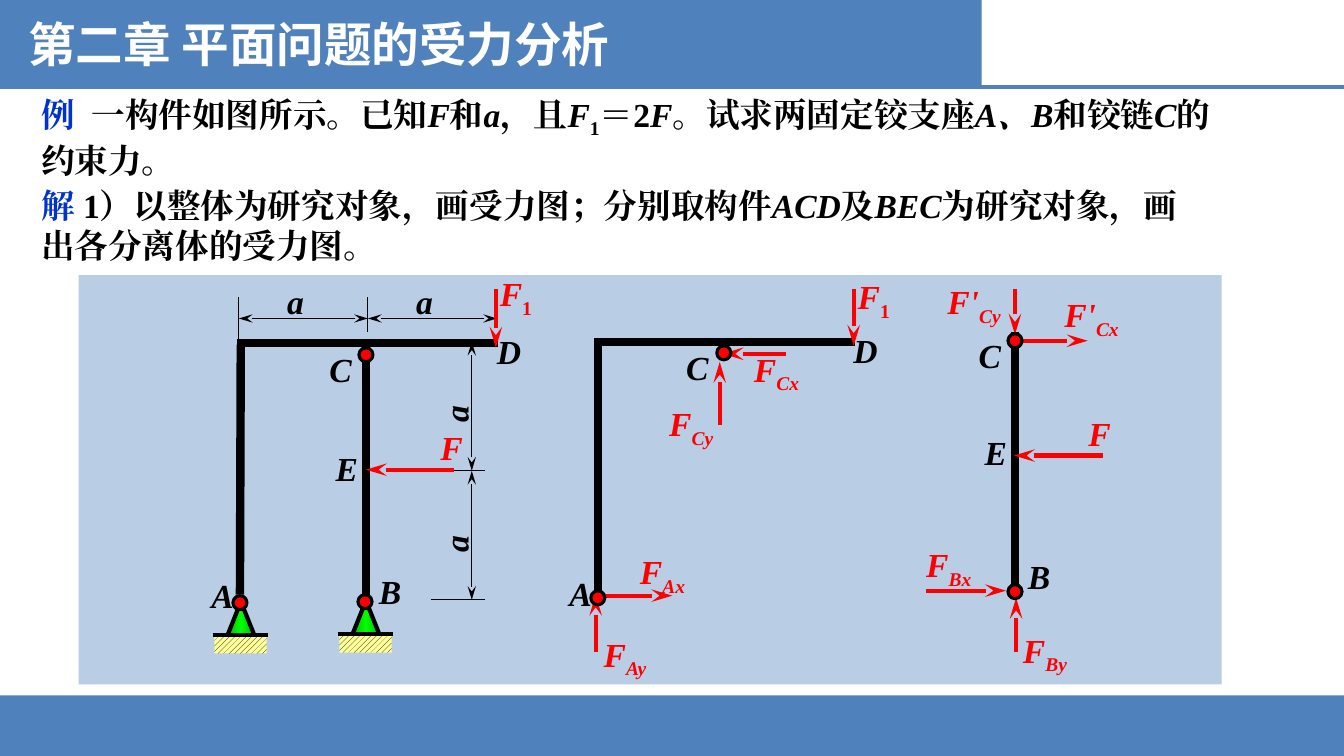
from copy import deepcopy

from lxml import etree
from pptx import Presentation
from pptx.dml.color import RGBColor
from pptx.enum.dml import MSO_PATTERN
from pptx.enum.shapes import MSO_CONNECTOR, MSO_SHAPE
from pptx.enum.text import MSO_ANCHOR, PP_ALIGN
from pptx.oxml.ns import qn
from pptx.util import Pt

RECT, OVAL, TRIANGLE = MSO_SHAPE.RECTANGLE, MSO_SHAPE.OVAL, MSO_SHAPE.ISOSCELES_TRIANGLE
STRAIGHT = MSO_CONNECTOR.STRAIGHT
HATCH = MSO_PATTERN.WIDE_UPWARD_DIAGONAL
TOP, MIDDLE = MSO_ANCHOR.TOP, MSO_ANCHOR.MIDDLE
LEFT, JUSTIFY = PP_ALIGN.LEFT, PP_ALIGN.JUSTIFY

RED, BLACK, WHITE, BLUE = "FF0000", "000000", "FFFFFF", "4F81BD"
KEYWORD, PANEL, SAND = "0033CC", "B9CDE5", "FFFF99"
GREENS = [(0, "00B600"), (0.5, "00FF00"), (1, "00B600")]
TIMES, HEITI = "Times New Roman", "Noto Sans CJK SC"

TITLE = "第二章 平面问题的受力分析"
PROBLEM = [("例\t", "key"), ("一构件如图所示。已知", ""), ("F", "i"), ("和", ""), ("a", "i"),
           ("，且", ""), ("F", "i"), ("1", "sub"), ("＝2", ""), ("F", "i"),
           ("。试求两固定铰支座", ""), ("A、B", "i"), ("和铰链", ""), ("C", "i"), ("的约束力。", "")]
SOLUTION = [("解", "key"), (" 1）以整体为研究对象，画受力图；分别取构件", ""), ("ACD", "i"),
            ("及", ""), ("BEC", "i"), ("为研究对象，画出各分离体的受力图。", "")]

MEMBERS = [
    (355.7, 244.8, 169.2, 244.8), (261.4, 247, 261.4, 432), (172, 246.2, 171.4, 424.8),
    (610.6, 244.1, 424.1, 244.1), (427, 245.5, 427, 424.1),
    (725, 236.9, 725, 421.9),
]
FORCES = [
    (354.2, 206.6, 354.2, 248.4), (324, 335.5, 261.4, 335.5),
    (609.8, 206.6, 609.8, 247), (561.6, 252.7, 516.2, 252.7), (514.1, 303.8, 514.1, 258.5),
    (427, 425.5, 480.2, 425.5), (425.5, 465.8, 425.5, 424.8),
    (725, 206.6, 725, 239), (730.8, 243.4, 776.9, 243.4), (787.7, 325.4, 724.3, 325.4),
    (661.7, 421.9, 718.6, 421.9), (725.8, 465.8, 725.8, 427),
]
HINGES = [(261.4, 253.4), (517, 252), (427, 427), (725, 243.4), (725, 422.6)]
SUPPORTS = [(172.1, 429.8), (261.4, 429.1)]

JOINT_LABELS = [
    ("A", 144, 406.8), ("B", 263.5, 403.9), ("C", 228.2, 245.5), ("D", 347.8, 232.6), ("E", 232.6, 316.1),
    ("A", 399.6, 405.4), ("C", 483.1, 244.1), ("D", 602.6, 231.8),
    ("B", 727.2, 393.8), ("C", 691.9, 235.4), ("E", 696.2, 305.3),
]
FORCE_LABELS = [
    ("F", "1", 349.9, 191.5), ("F", "", 307.4, 301.7),
    ("F", "1", 605.5, 193.7), ("F", "Cx", 531.4, 245.5), ("F", "Cy", 470.9, 284.4),
    ("F", "Ax", 450, 390.2), ("F", "Ay", 424.1, 449.3),
    ("F'", "Cx", 753.1, 206.6), ("F'", "Cy", 669.6, 197.3), ("F", "", 770.4, 291.6),
    ("F", "Bx", 654.5, 385.2), ("F", "By", 723.6, 446.4),
]
SPAN = 92.2
DIM_LEFT, DIM_Y = 170.6, 227.5
DIM_X, DIM_TOP = 337, 244.1

deck = Presentation()
deck.slide_width, deck.slide_height = Pt(960), Pt(540)
slide = deck.slides.add_slide(deck.slide_layouts[6])


def rgb(value):
    return RGBColor.from_string(value)


def add_text(runs, left, top, width, height, *, size=24, font=TIMES, color=BLACK,
             align=LEFT, anchor=TOP, wrap=True, rotation=0, tab=None):
    box = slide.shapes.add_textbox(Pt(left), Pt(top), Pt(width), Pt(height))
    box.rotation = rotation
    frame = box.text_frame
    frame.word_wrap, frame.vertical_anchor = wrap, anchor
    paragraph = frame.paragraphs[0]
    paragraph.alignment = align
    if tab:
        stops = etree.SubElement(paragraph._p.get_or_add_pPr(), qn("a:tabLst"))
        etree.SubElement(stops, qn("a:tab"), pos=str(Pt(tab)), algn="l")
    for words, style in runs:
        run = paragraph.add_run()
        run.text = words
        run.font.size, run.font.name, run.font.bold = Pt(size), font, True
        run.font.italic = style in ("i", "isub")
        run.font.color.rgb = rgb(KEYWORD if style == "key" else color)
        properties = run._r.get_or_add_rPr()
        etree.SubElement(properties, qn("a:ea"), typeface=font)
        if style.endswith("sub"):
            properties.set("baseline", "-25000")


def add_shape(kind, left, top, width, height, fill=None, line=None, weight=0):
    shape = slide.shapes.add_shape(kind, Pt(left), Pt(top), Pt(width), Pt(height))
    shape.shadow.inherit = False
    if fill:
        shape.fill.solid()
        shape.fill.fore_color.rgb = rgb(fill)
    if line:
        shape.line.color.rgb, shape.line.width = rgb(line), Pt(weight)
    else:
        shape.line.fill.background()
    return shape


def add_line(x1, y1, x2, y2, color=BLACK, weight=0.75, arrows=()):
    line = slide.shapes.add_connector(STRAIGHT, Pt(x1), Pt(y1), Pt(x2), Pt(y2))
    line.line.color.rgb, line.line.width = rgb(color), Pt(weight)
    for end in arrows:
        etree.SubElement(line.line._get_or_add_ln(), qn(f"a:{end}"), type="stealth", w="med", len="lg")
    etree.SubElement(line._element.spPr, qn("a:effectLst"))


def add_hinge(x, y):
    add_shape(OVAL, x - 5, y - 5, 10, 10, RED, BLACK, 2.25)


def add_support(x, y):
    wedge = add_shape(TRIANGLE, x - 10, y, 20, 25, line=BLACK, weight=3)
    wedge.fill.gradient()
    wedge.fill.gradient_angle = 0
    last = wedge._element.spPr.find(".//" + qn("a:gsLst"))[-1]
    last.addnext(deepcopy(last))
    for stop, (position, color) in zip(wedge.fill.gradient_stops, GREENS):
        stop.position, stop.color.rgb = position, rgb(color)
    ground = add_shape(RECT, x - 19, y + 24, 37.4, 13)
    ground.fill.patterned()
    ground.fill.pattern = HATCH
    ground.fill.fore_color.rgb, ground.fill.back_color.rgb = rgb(BLACK), rgb(SAND)
    add_line(x - 20, y + 24, x + 19, y + 24, weight=3)
    add_hinge(x - 0.7, y + 0.7)


add_shape(RECT, 0, 496.8, 960, 43.2, BLUE)
add_shape(RECT, 0, 0, 701.3, 62, BLUE)
add_line(0, 61.9, 960, 61.9, BLUE, 3)
add_text([(TITLE, "")], 13, 7.2, 437, 48.2, size=34, font=HEITI, color=WHITE, anchor=MIDDLE, wrap=False)
add_text(PROBLEM, 22.3, 63.4, 850.3, 65.5, tab=36)
add_shape(RECT, 56.2, 196.6, 816.5, 292.3, PANEL)
add_text(SOLUTION, 22.3, 128.2, 832.3, 65.5)

for member in MEMBERS:
    add_line(*member, weight=6)

for step in range(3):
    y = DIM_TOP + step * SPAN
    add_line(308.2, y, 346.3, y)
for x, bottom in ((DIM_LEFT, 250.6), (DIM_LEFT + SPAN, 236.9)):
    add_line(x, 212.4, x, bottom)
for step in range(2):
    x, y = DIM_LEFT + step * SPAN, DIM_TOP + step * SPAN
    add_line(x, DIM_Y, x + SPAN, DIM_Y, arrows=("headEnd", "tailEnd"))
    add_line(DIM_X, y + SPAN, DIM_X, y, arrows=("headEnd", "tailEnd"))
    add_text([("a", "i")], x + 27.4, 197.3, 37.4, 54)
    add_text([("a", "i")], 315.4, y + 19.4, 37.4, 54, rotation=270)

for force in FORCES:
    add_line(*force, RED, 3, ("tailEnd",))
for support in SUPPORTS:
    add_support(*support)
for hinge in HINGES:
    add_hinge(*hinge)

for joint, left, top in JOINT_LABELS:
    add_text([(joint, "i")], left, top, 40.3, 37.4, align=JUSTIFY)
for force, index, left, top in FORCE_LABELS:
    runs = [(force, "i")]
    if index:
        runs.append((index, "sub" if index == "1" else "isub"))
    add_text(runs, left, top, 60 if index else 34.6, 38, color=RED, align=JUSTIFY)

deck.save("out.pptx")
